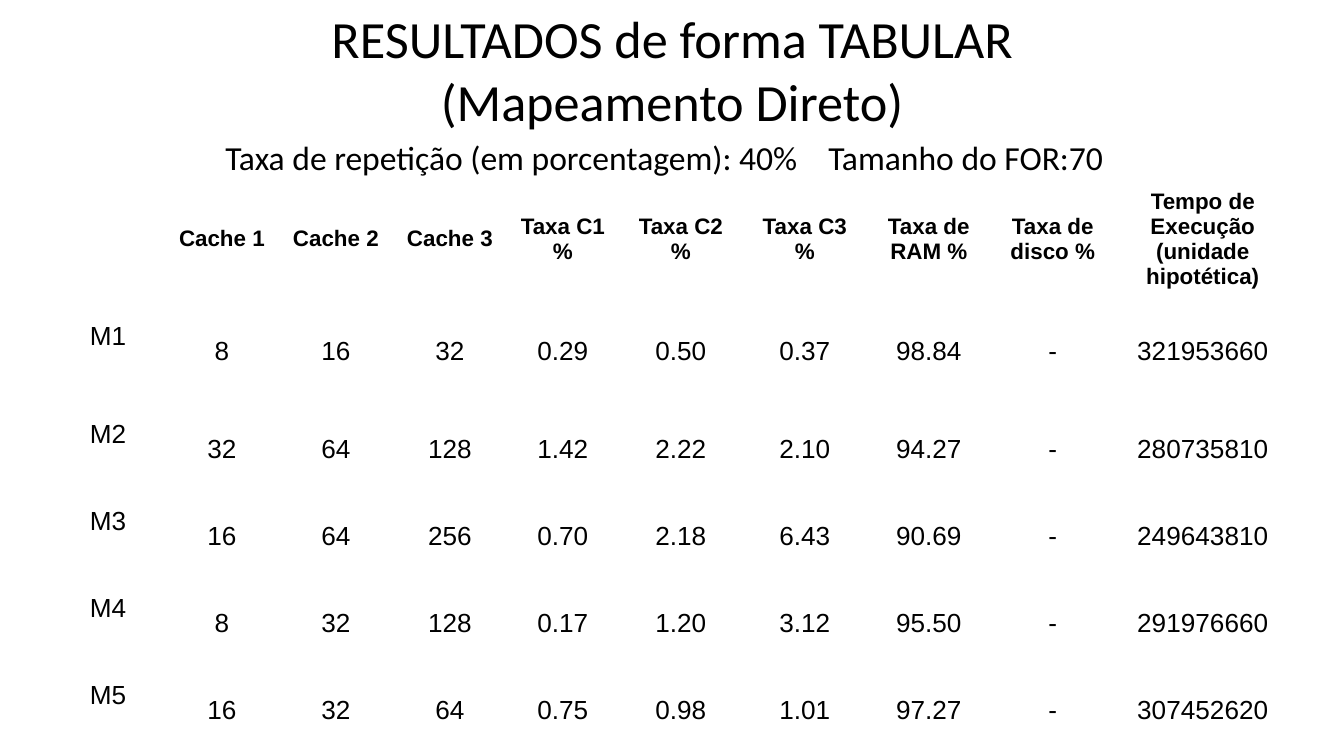
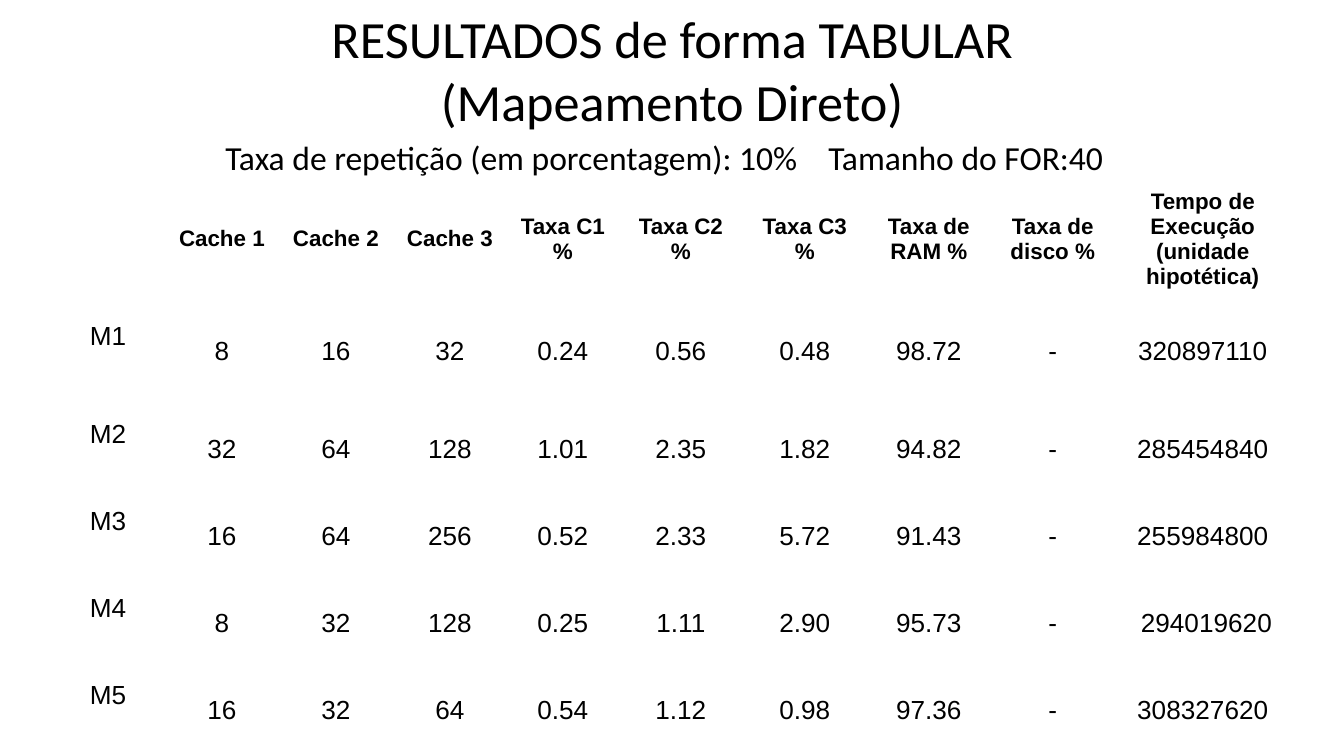
from lxml.etree import SubElement
from pptx import Presentation
from pptx.dml.color import RGBColor
from pptx.enum.text import MSO_ANCHOR, MSO_AUTO_SIZE, PP_ALIGN
from pptx.oxml.ns import qn
from pptx.util import Pt

EMU_PER_PX = 914400 / 134.4
COLORS = {"text": "000000", "background": "FFFFFF"}

# Boxes: left, top, width, height
SLIDE_SIZE = (1344, 756)
TITLE_BOX = (137, 16, 1070, 106)
SETTINGS_BOX = (212, 130, 920, 40)
RESULTS_ORIGIN = (51, 180)

COLUMN_WIDTHS = [114] * 4 + [112] + [124] * 4 + [176]
ROW_HEIGHTS = [98, 108] + [87] * 4
CELL_MARGIN_X, CELL_MARGIN_Y = 13, 5
MACHINE_LIFT = 30
FOR_SIZE_TAB = 603

TITLE = "RESULTADOS de forma TABULAR\v(Mapeamento Direto)"
HEADINGS = [
    "", "Cache 1", "Cache 2", "Cache 3",
    "Taxa C1\n%", "Taxa C2\n%", "Taxa C3\n%",
    "Taxa de RAM %", "Taxa de disco %",
    "Tempo de Execução\n(unidade hipotética)",
]
MACHINES = [
    ["M1", "8", "16", "32"],
    ["M2", "32", "64", "128"],
    ["M3", "16", "64", "256"],
    ["M4", "8", "32", "128"],
    ["M5", "16", "32", "64"],
]
# One entry per slide; rates are C1, C2, C3, RAM, disk, then the time
EXPERIMENTS = [
    {
        "repetition": "40%", "for_size": "70",
        "measures": [
            ["0.29", "0.50", "0.37", "98.84", "-", "321953660"],
            ["1.42", "2.22", "2.10", "94.27", "-", "280735810"],
            ["0.70", "2.18", "6.43", "90.69", "-", "249643810"],
            ["0.17", "1.20", "3.12", "95.50", "-", "291976660"],
            ["0.75", "0.98", "1.01", "97.27", "-", "307452620"],
        ],
    },
    {
        "repetition": "10%", "for_size": "40",
        "measures": [
            ["0.24", "0.56", "0.48", "98.72", "-", "320897110"],
            ["1.01", "2.35", "1.82", "94.82", "-", "285454840"],
            ["0.52", "2.33", "5.72", "91.43", "-", "255984800"],
            ["0.25", "1.11", "2.90", "95.73", "-", " 294019620"],
            ["0.54", "1.12", "0.98", "97.36", "-", "308327620"],
        ],
    },
]


def px(length):
    return round(length * EMU_PER_PX)


def write(frame, text, *, size, font="Calibri", bold=False,
          align=PP_ALIGN.CENTER, color="text"):
    for index, line in enumerate(text.split("\n")):
        paragraph = frame.add_paragraph() if index else frame.paragraphs[0]
        paragraph.text = line
        paragraph.alignment = align
        for run in paragraph.runs:
            run.font.name = font
            run.font.size = Pt(size)
            run.font.bold = bold
            run.font.color.rgb = RGBColor.from_string(COLORS[color])


def add_title(slide, box):
    title = slide.shapes.title
    title.left, title.top, title.width, title.height = map(px, box)
    frame = title.text_frame
    frame.auto_size = MSO_AUTO_SIZE.NONE
    frame.vertical_anchor = MSO_ANCHOR.MIDDLE
    write(frame, TITLE, size=28)


def add_settings(slide, box, repetition, for_size):
    frame = slide.shapes.add_textbox(*map(px, box)).text_frame
    frame.word_wrap = True
    write(frame,
          f"Taxa de repetição (em porcentagem): {repetition}\tTamanho do FOR:{for_size}",
          size=18, align=PP_ALIGN.LEFT)
    # The tab stop sets the gap between the two settings
    properties = frame.paragraphs[0]._p.get_or_add_pPr()
    stops = SubElement(properties, qn("a:tabLst"))
    SubElement(stops, qn("a:tab"), pos=str(px(FOR_SIZE_TAB)), algn="l")


def add_results(slide, origin, measures):
    rows = [HEADINGS] + [m + rates for m, rates in zip(MACHINES, measures)]
    box = (*origin, sum(COLUMN_WIDTHS), sum(ROW_HEIGHTS))
    results = slide.shapes.add_table(len(rows), len(HEADINGS), *map(px, box)).table
    results.first_row = results.horz_banding = False
    for column, width in zip(results.columns, COLUMN_WIDTHS):
        column.width = px(width)
    for row, height in zip(results.rows, ROW_HEIGHTS):
        row.height = px(height)

    for r, values in enumerate(rows):
        for c, value in enumerate(values):
            cell = results.cell(r, c)
            cell.fill.background()
            cell.vertical_anchor = MSO_ANCHOR.MIDDLE
            cell.margin_left = cell.margin_right = px(CELL_MARGIN_X)
            cell.margin_top = px(CELL_MARGIN_Y)
            # Machine names sit a little above the middle of their row
            lift = MACHINE_LIFT if r and c == 0 else 0
            cell.margin_bottom = px(CELL_MARGIN_Y + lift)
            write(cell.text_frame, value, font="Arial",
                  size=14 if r else 12, bold=r == 0)


def add_experiment_slide(deck, experiment):
    slide = deck.slides.add_slide(deck.slide_layouts.get_by_name("Title Only"))
    background = slide.background.fill
    background.solid()
    background.fore_color.rgb = RGBColor.from_string(COLORS["background"])
    add_title(slide, TITLE_BOX)
    add_settings(slide, SETTINGS_BOX, experiment["repetition"], experiment["for_size"])
    add_results(slide, RESULTS_ORIGIN, experiment["measures"])


def main():
    deck = Presentation()
    deck.slide_width, deck.slide_height = map(px, SLIDE_SIZE)
    for experiment in EXPERIMENTS:
        add_experiment_slide(deck, experiment)
    deck.save("out.pptx")


if __name__ == "__main__":
    main()
